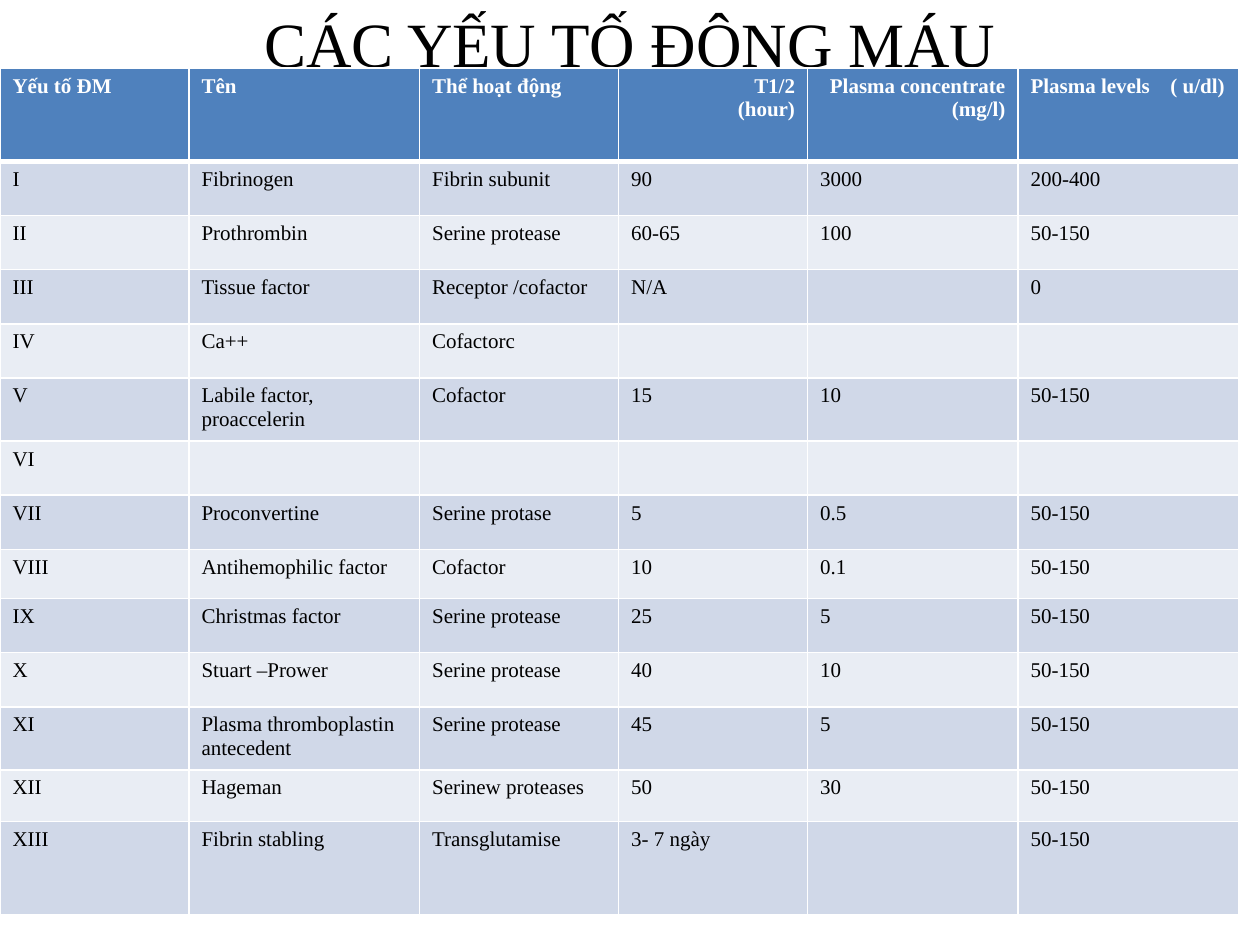
from typing import NamedTuple

from lxml.etree import SubElement
from pptx import Presentation
from pptx.dml.color import RGBColor
from pptx.enum.text import MSO_ANCHOR as Anchor, PP_ALIGN as Align
from pptx.oxml import parse_xml
from pptx.oxml.ns import nsdecls, qn
from pptx.util import Inches, Pt

FACE = "Times New Roman"
WHITE, BLACK, BLUE = "FFFFFF", "000000", "4F81BD"
BANDS = ("D0D8E8", "E9EDF4")


class Head(NamedTuple):
    text: str
    width: float
    align: Align = Align.LEFT
    tab: float = 0


class Factor(NamedTuple):
    number: str
    name: str = ""
    form: str = ""
    half: str = ""
    plasma: str = ""
    level: str = ""
    height: float = 0.43


HEADS = [
    Head("Yếu tố ĐM", 1.5),
    Head("Tên", 1.83),
    Head("Thể hoạt động", 1.58),
    Head("T1/2\n(hour)", 1.5, Align.RIGHT),
    Head("Plasma concentrate\n(mg/l)", 1.67, Align.RIGHT),
    Head("Plasma levels\t( u/dl)", 1.75, tab=1.11),
]
USUAL = "50-150"
FACTORS = [
    Factor("I", "Fibrinogen", "Fibrin subunit", "90", "3000", "200-400"),
    Factor("II", "Prothrombin", "Serine protease", "60-65", "100", USUAL),
    Factor("III", "Tissue factor", "Receptor /cofactor", "N/A", "", "0"),
    Factor("IV", "Ca++", "Cofactorc"),
    Factor("V", "Labile factor, proaccelerin", "Cofactor", "15", "10", USUAL),
    Factor("VI"),
    Factor("VII", "Proconvertine", "Serine protase", "5", "0.5", USUAL),
    Factor("VIII", "Antihemophilic factor", "Cofactor", "10", "0.1", USUAL, 0.39),
    Factor("IX", "Christmas factor", "Serine protease", "25", "5", USUAL),
    Factor("X", "Stuart –Prower", "Serine protease", "40", "10", USUAL),
    Factor("XI", "Plasma thromboplastin antecedent", "Serine protease",
           "45", "5", USUAL, 0.5),
    Factor("XII", "Hageman", "Serinew proteases", "50", "30", USUAL, 0.41),
    Factor("XIII", "Fibrin stabling", "Transglutamise", "3- 7 ngày", "", USUAL, 0.74),
]
HEAD_HEIGHT = 0.74


def color(code: str) -> RGBColor:
    return RGBColor.from_string(code)


def style(par, size: float, code: str, bold: bool = False) -> None:
    font = par.font
    font.name, font.size, font.bold = FACE, Pt(size), bold
    font.color.rgb = color(code)


def edge(cell, top: float = 1, bottom: float = 1) -> None:
    """Draw white borders; they come before the fill in the cell's XML."""
    sides = (("L", 1), ("R", 1), ("T", top), ("B", bottom))
    for spot, (side, width) in enumerate(sides):
        line = parse_xml(
            f'<a:ln{side} {nsdecls("a")} w="{Pt(width)}"><a:solidFill>'
            f'<a:srgbClr val="{WHITE}"/></a:solidFill></a:ln{side}>')
        cell._tc.get_or_add_tcPr().insert(spot, line)


def write(cell, text: str, fill: str, code: str, bold: bool = False,
          align: Align = Align.LEFT, tab: float = 0) -> None:
    cell.fill.solid()
    cell.fill.fore_color.rgb = color(fill)
    cell.text_frame.text = text
    for par in cell.text_frame.paragraphs:
        par.alignment = align
        if tab:
            stops = SubElement(par._p.get_or_add_pPr(), qn("a:tabLst"))
            SubElement(stops, qn("a:tab"), pos=str(Inches(tab)), algn="l")
        style(par, 12, code, bold)


def add_title(slide, text: str) -> None:
    box = slide.shapes.add_textbox(Inches(0.5), 0, Inches(9), Inches(0.67))
    frame = box.text_frame
    frame.word_wrap = True
    frame.vertical_anchor = Anchor.MIDDLE
    frame.text = text
    par = frame.paragraphs[0]
    par.alignment = Align.CENTER
    style(par, 36, BLACK)


def add_grid(slide) -> None:
    heights = [HEAD_HEIGHT] + [factor.height for factor in FACTORS]
    width = sum(head.width for head in HEADS)
    grid = slide.shapes.add_table(
        len(heights), len(HEADS), 0, Inches(0.54),
        Inches(width), Inches(sum(heights))).table
    for row, height in zip(grid.rows, heights):
        row.height = Inches(height)

    # Header row
    for col, head in enumerate(HEADS):
        grid.columns[col].width = Inches(head.width)
        cell = grid.cell(0, col)
        write(cell, head.text, BLUE, WHITE, True, head.align, head.tab)
        edge(cell, bottom=3)

    # One banded row for each factor
    for row, factor in enumerate(FACTORS, 1):
        for col, text in enumerate(factor[:len(HEADS)]):
            cell = grid.cell(row, col)
            write(cell, text, BANDS[(row - 1) % 2], BLACK)
            edge(cell, top=3 if row == 1 else 1)


def main() -> None:
    deck = Presentation()
    deck.slide_width, deck.slide_height = Inches(10), Inches(7.5)
    slide = deck.slides.add_slide(deck.slide_layouts[6])
    add_title(slide, "CÁC YẾU TỐ ĐÔNG MÁU")
    add_grid(slide)
    deck.save("out.pptx")


if __name__ == "__main__":
    main()
